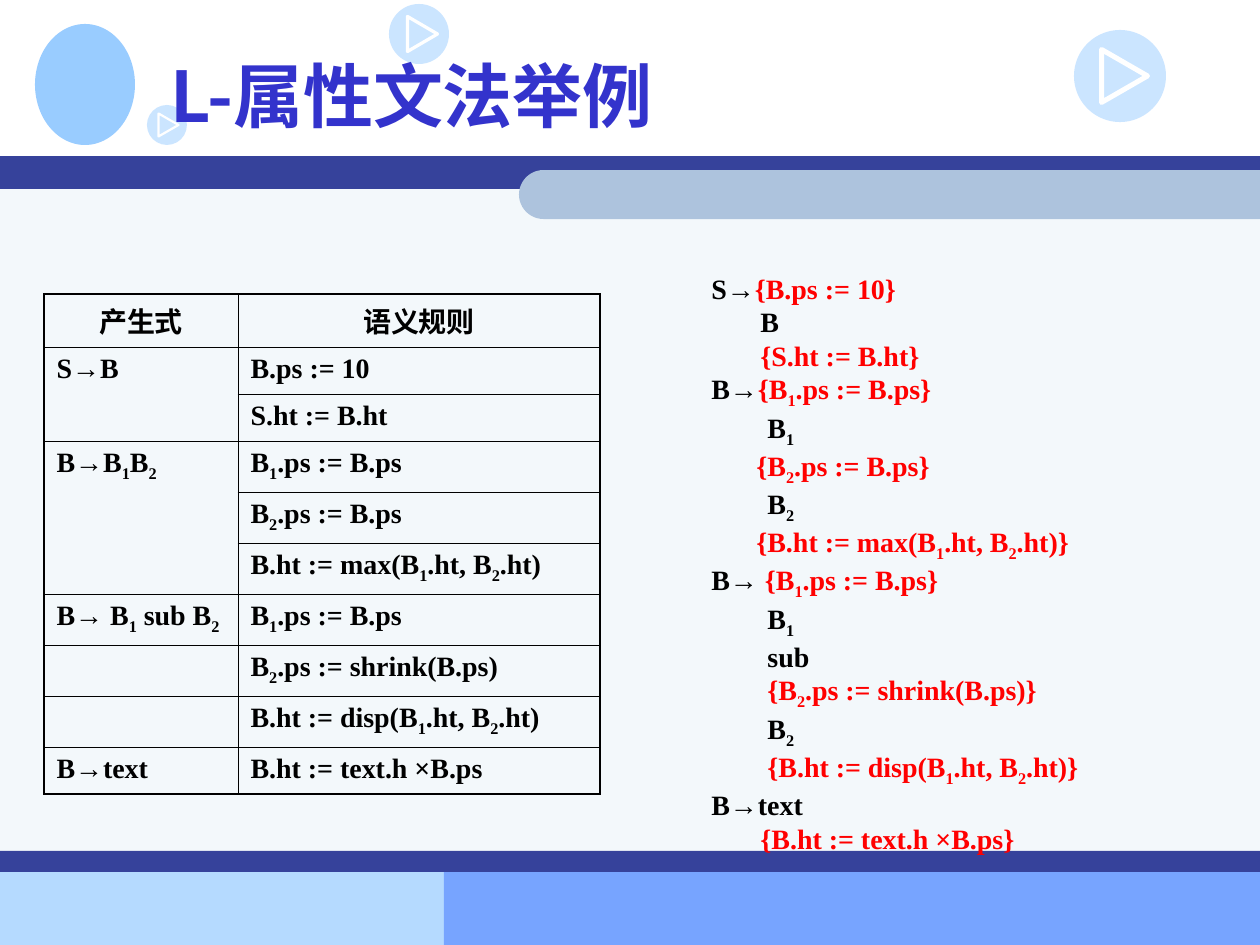
import lxml.etree
import pptx
import pptx.dml.color
import pptx.enum.shapes
import pptx.enum.text
import pptx.oxml.ns
import pptx.util

PX = 914400 // 126
SHAPE = pptx.enum.shapes.MSO_SHAPE
ALIGN = pptx.enum.text.PP_ALIGN
ANCHOR = pptx.enum.text.MSO_ANCHOR
NAVY, BLUE, SKY = "36429B", "3333CC", "99CCFF"
BLACK, RED, WHITE = "000000", "FF0000", "FFFFFF"
SERIF, SANS = "Times New Roman", "Noto Sans CJK SC"

COLUMN_WIDTHS = [194, 362]
ROW_HEIGHTS = [52, 47, 47] + [51] * 6 + [47]
# An underscore makes the next character a subscript.
GRAMMAR = [
    ("产生式", "语义规则"),
    ("S→B", "B.ps := 10"),
    ("", "S.ht := B.ht"),
    ("B→B_1B_2", "B_1.ps := B.ps"),
    ("", "B_2.ps := B.ps"),
    ("", "B.ht := max(B_1.ht, B_2.ht)"),
    ("B→ B_1 sub B_2", "B_1.ps := B.ps"),
    ("", "B_2.ps := shrink(B.ps)"),
    ("", "B.ht := disp(B_1.ht, B_2.ht)"),
    ("B→text", "B.ht := text.h ×B.ps"),
]
MERGED_ROWS = [(1, 2), (3, 5)]
SCHEME = [
    (0, "S→{B.ps := 10}"),
    (49, "B"),
    (49, "{S.ht := B.ht}"),
    (0, "B→{B_1.ps := B.ps}"),
    (56, "B_1"),
    (45, "{B_2.ps := B.ps}"),
    (56, "B_2"),
    (45, "{B.ht := max(B_1.ht, B_2.ht)}"),
    (0, "B→ {B_1.ps := B.ps}"),
    (56, "B_1"),
    (56, "sub"),
    (56, "{B_2.ps := shrink(B.ps)}"),
    (56, "B_2"),
    (56, "{B.ht := disp(B_1.ht, B_2.ht)}"),
    (0, "B→text"),
    (49, "{B.ht := text.h ×B.ps}"),
]


def px(*lengths):
    return [pptx.util.Emu(round(length) * PX) for length in lengths]


def colour(code):
    return pptx.dml.color.RGBColor.from_string(code)


def add_xml(parent, tag, **attributes):
    return lxml.etree.SubElement(parent, pptx.oxml.ns.qn(tag), attributes)


def write(para, text, size=16, font=SERIF, color=BLACK):
    """Add bold text, lowering each character that follows an underscore."""
    first, *others = text.split("_")
    pieces = [(first, False)]
    for other in others:
        pieces += [(other[0], True), (other[1:], False)]
    for piece, lowered in pieces:
        if not piece:
            continue
        span = para.add_run()
        span.text = piece
        span.font.size = pptx.util.Pt(size)
        span.font.bold = True
        span.font.name = font
        span.font.color.rgb = colour(color)
        properties = span.font._element
        add_xml(properties, "a:ea", typeface=SANS)
        if lowered:
            properties.set("baseline", "-25000")


class SlideBuilder:
    def __init__(self, deck):
        self.page = deck.slides.add_slide(deck.slide_layouts[5])

    def shape(self, kind, left, top, width, height, fill=None, line=None,
              line_width=1, opacity=100, rotation=0):
        """Draw a preset shape; the box is the one seen after rotation."""
        if rotation in (90, 270):
            left += (width - height) / 2
            top += (height - width) / 2
            width, height = height, width
        shape = self.page.shapes.add_shape(kind, *px(left, top, width, height))
        shape.shadow.inherit = False
        shape.rotation = rotation
        if fill:
            shape.fill.solid()
            shape.fill.fore_color.rgb = colour(fill)
            if opacity < 100:
                color_node = shape.fill._xPr.find(".//" + pptx.oxml.ns.qn("a:srgbClr"))
                add_xml(color_node, "a:alpha", val=str(opacity * 1000))
        else:
            shape.fill.background()
        if line:
            shape.line.color.rgb = colour(line)
            shape.line.width = pptx.util.Pt(line_width)
        else:
            shape.line.fill.background()
        return shape

    def play_button(self, left, top, size):
        self.shape(SHAPE.OVAL, left, top, size, size, SKY, opacity=50)
        self.shape(SHAPE.ISOSCELES_TRIANGLE, left + 0.3 * size, top + 0.21 * size,
                   0.5 * size, 0.58 * size, line=WHITE, line_width=size / 32,
                   rotation=90)

    def title(self, text, *bounds):
        box = self.page.shapes.title
        box.left, box.top, box.width, box.height = px(*bounds)
        box.text_frame.vertical_anchor = ANCHOR.MIDDLE
        para = box.text_frame.paragraphs[0]
        para.alignment = ALIGN.LEFT
        write(para, text, size=40, font=SANS, color=BLUE)
        # The title lies in front of the decoration.
        self.page.shapes._spTree.append(box._element)

    def border(self, cell, row, column, last_row, last_column):
        properties = cell._tc.get_or_add_tcPr()
        outer = {"a:lnL": column == 0, "a:lnR": column == last_column,
                 "a:lnT": row == 0, "a:lnB": row == last_row}
        for tag, is_outer in outer.items():
            width = pptx.util.Pt(1.08 if is_outer else 0.45)
            edge = add_xml(properties, tag, w=str(width))
            add_xml(add_xml(edge, "a:solidFill"), "a:srgbClr", val=BLACK)

    def table(self, rows, merged, left, top):
        frame = self.page.shapes.add_table(
            len(rows), len(COLUMN_WIDTHS),
            *px(left, top, sum(COLUMN_WIDTHS), sum(ROW_HEIGHTS)))
        table = frame.table
        table.first_row = table.horz_banding = False
        for column, width in zip(table.columns, px(*COLUMN_WIDTHS)):
            column.width = width
        for row, height in zip(table.rows, px(*ROW_HEIGHTS)):
            row.height = height
        for row, texts in enumerate(rows):
            for column, text in enumerate(texts):
                cell = table.cell(row, column)
                self.border(cell, row, column, len(rows) - 1, len(texts) - 1)
                cell.fill.background()
                para = cell.text_frame.paragraphs[0]
                para.alignment = ALIGN.CENTER if row == 0 else ALIGN.LEFT
                write(para, text)
        for first, last in merged:
            table.cell(first, 0).merge(table.cell(last, 0))

    def scheme(self, lines, *bounds):
        """List indented lines, with the actions in braces in red."""
        box = self.page.shapes.add_textbox(*px(*bounds))
        frame = box.text_frame
        frame.word_wrap = True
        frame.auto_size = pptx.enum.text.MSO_AUTO_SIZE.SHAPE_TO_FIT_TEXT
        for number, (indent, text) in enumerate(lines):
            para = frame.add_paragraph() if number else frame.paragraphs[0]
            para._p.get_or_add_pPr().set("marL", str(indent * PX))
            symbols, brace, action = text.partition("{")
            write(para, symbols)
            write(para, brace + action, color=RED)


def main():
    deck = pptx.Presentation()
    deck.slide_width, deck.slide_height = px(1260, 945)
    slide = SlideBuilder(deck)

    slide.shape(SHAPE.RECTANGLE, 0, 871, 444, 74, "B5DAFF")
    slide.shape(SHAPE.RECTANGLE, 444, 871, 816, 74, "77A4FF")
    slide.shape(SHAPE.RECTANGLE, 0, 176, 1260, 695, "F3F8FB")
    slide.shape(SHAPE.RECTANGLE, 0, 156, 1260, 33, NAVY)
    band = slide.shape(SHAPE.ROUND_2_SAME_RECTANGLE, 519, 170, 741, 49, "ADC3DD",
                       rotation=270)
    band.adjustments[0] = 0.5
    slide.shape(SHAPE.OVAL, 35, 24, 100, 121, SKY)
    for left, top, size in [(389, 4, 60), (1074, 30, 92), (147, 105, 40)]:
        slide.play_button(left, top, size)
    slide.shape(SHAPE.RECTANGLE, 0, 851, 1260, 21, NAVY)

    slide.title("L-属性文法举例", 158, 21, 1071, 147)
    slide.table(GRAMMAR, MERGED_ROWS, 44, 294)
    slide.scheme(SCHEME, 699, 265, 486, 596)
    deck.save("out.pptx")


if __name__ == "__main__":
    main()
